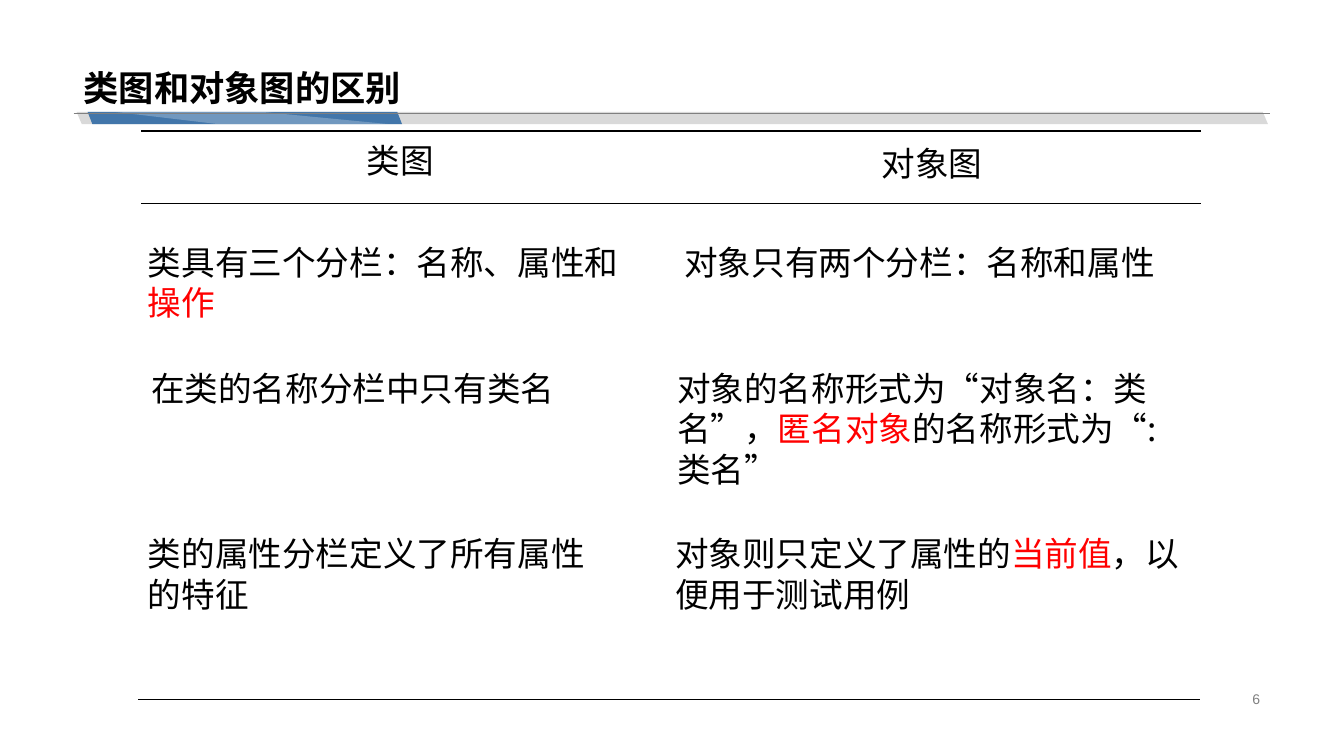
from dataclasses import dataclass

from lxml.etree import SubElement
from pptx import Presentation
from pptx.dml.color import RGBColor
from pptx.enum.lang import MSO_LANGUAGE_ID as Language
from pptx.enum.shapes import MSO_CONNECTOR as Connector
from pptx.enum.shapes import MSO_SHAPE as Shape
from pptx.enum.text import MSO_ANCHOR as Anchor
from pptx.enum.text import MSO_AUTO_SIZE as AutoSize
from pptx.enum.text import PP_ALIGN as Align
from pptx.oxml.ns import qn
from pptx.util import Pt

BLACK = RGBColor(0x00, 0x00, 0x00)
WHITE = RGBColor(0xFF, 0xFF, 0xFF)
RED = RGBColor(0xFF, 0x00, 0x00)
BLUE = RGBColor(0x42, 0x76, 0xAA)
LIGHT_GREY = RGBColor(0xD9, 0xD9, 0xD9)
GREY = RGBColor(0x80, 0x80, 0x80)

SANS = "Arial"
CHINESE = "Noto Sans CJK SC"


@dataclass
class Span:
    """A stretch of text in one colour."""
    text: str
    color: RGBColor = BLACK


@dataclass
class Label:
    """A text box: place in points, spans and format."""
    left: float
    top: float
    width: float
    height: float
    spans: list[Span]
    size: float = 24
    font: str = CHINESE
    bold: bool = False
    anchor: Anchor = Anchor.TOP
    align: Align = Align.LEFT
    spacing: float = 1.0
    auto_size: AutoSize = AutoSize.SHAPE_TO_FIT_TEXT


@dataclass
class Rule:
    """A horizontal line in points."""
    left: float
    right: float
    top: float
    weight: float
    color: RGBColor = BLACK


@dataclass
class Band:
    """A slanted bar under the title, in points."""
    left: float
    width: float
    slant: float
    color: RGBColor


BAND_TOP, BAND_HEIGHT = 79.9, 8.7
BANDS = [
    Band(54.7, 851, 0.424, LIGHT_GREY),
    Band(62.6, 224.6, 0.388, BLUE),
]
GLINT = [(277.2, 88.6), (187.2, 79.9), (82.1, 79.9), (155.5, 88.6)]

RULES = [
    Rule(52.6, 907.2, 80.6, 0.25, GREY),
    Rule(100.8, 858.2, 93.6, 1.5),
    Rule(100.8, 858.2, 145.6, 0.75),
    Rule(98.6, 856.8, 499.7, 0.75),
]

ROW_TOPS = NAME_COUNT, NAME_FORM, ATTRIBUTES = 169.2, 259.2, 377.3
ONE_LINE, TWO_LINES, THREE_LINES = 36, 65.5, 94.3

LABELS = [
    Label(678.2, 491, 229, 16.6, [Span("6", GREY)], size=10, font=SANS,
          anchor=Anchor.MIDDLE, align=Align.RIGHT, auto_size=AutoSize.NONE),
    Label(52.6, 36.7, 242.6, 44.6, [Span("类图和对象图的区别")], size=25.2,
          font=SANS, bold=True, anchor=Anchor.BOTTOM, spacing=0.9,
          auto_size=AutoSize.NONE),
    Label(254.9, 96.5, 71.3, ONE_LINE, [Span("类图")]),
    Label(622.8, 98.2, 90.7, ONE_LINE, [Span("对象图")]),
    Label(98.6, NAME_COUNT, 357.1, TWO_LINES,
          [Span("类具有三个分栏：名称、属性和"), Span("操作", RED)]),
    Label(100.8, NAME_FORM, 332.6, ONE_LINE,
          [Span("在类的名称分栏中只有类名")]),
    Label(98.6, ATTRIBUTES, 349.9, TWO_LINES,
          [Span("类的属性分栏定义了所有属性的特征")]),
    Label(481.7, NAME_COUNT, 377.3, ONE_LINE,
          [Span("对象只有两个分栏：名称和属性")]),
    Label(476.6, NAME_FORM, 377.3, THREE_LINES,
          [Span("对象的名称形式为“对象名：类名”，"), Span("匿名对象", RED),
           Span("的名称形式为“:类名”")]),
    Label(475.2, ATTRIBUTES, 378.7, TWO_LINES,
          [Span("对象则只定义了属性的"), Span("当前值", RED),
           Span("，以便用于测试用例")]),
]


def apply(target: object, values: dict) -> None:
    """Set attributes from a dict of format values."""
    for name, value in values.items():
        setattr(target, name, value)


def paint(shape, color: RGBColor) -> None:
    """Fill a shape plainly, without line or shadow."""
    shape.shadow.inherit = False
    shape.fill.solid()
    shape.fill.fore_color.rgb = color
    shape.line.fill.background()


def draw_band(page, band: Band) -> None:
    """Draw a mirrored parallelogram."""
    shape = page.shapes.add_shape(Shape.PARALLELOGRAM, Pt(band.left), Pt(BAND_TOP),
                                  Pt(band.width), Pt(BAND_HEIGHT))
    shape.adjustments[0] = band.slant
    shape._element.spPr.find(qn("a:xfrm")).set("flipH", "1")
    paint(shape, band.color)


def draw_glint(page, points: list[tuple[float, float]]) -> None:
    """Draw the translucent highlight on the blue band."""
    start, *rest = [(Pt(x), Pt(y)) for x, y in points]
    builder = page.shapes.build_freeform(*start)
    builder.add_line_segments(rest, close=True)
    shape = builder.convert_to_shape()
    paint(shape, WHITE)
    color = shape._element.spPr.find(qn("a:solidFill"))[0]
    SubElement(color, qn("a:alpha")).set("val", "25000")


def draw_rule(page, rule: Rule) -> None:
    """Draw a horizontal line without shadow."""
    line = page.shapes.add_connector(Connector.STRAIGHT, Pt(rule.left), Pt(rule.top),
                                     Pt(rule.right), Pt(rule.top))
    line.line.color.rgb = rule.color
    line.line.width = Pt(rule.weight)
    SubElement(line._element.spPr, qn("a:effectLst"))


def draw_label(page, label: Label) -> None:
    """Draw a text box with its coloured spans."""
    box = page.shapes.add_textbox(Pt(label.left), Pt(label.top),
                                  Pt(label.width), Pt(label.height))
    frame = box.text_frame
    apply(frame, {"word_wrap": True, "auto_size": label.auto_size,
                  "vertical_anchor": label.anchor})
    para = frame.paragraphs[0]
    apply(para, {"alignment": label.align, "line_spacing": label.spacing})
    for span in label.spans:
        run = para.add_run()
        run.text = span.text
        apply(run.font, {"name": label.font, "size": Pt(label.size),
                         "bold": label.bold,
                         "language_id": Language.SIMPLIFIED_CHINESE})
        run.font.color.rgb = span.color
        east_asian = SubElement(run.font._element, qn("a:ea"))
        east_asian.set("typeface", CHINESE)


def main() -> None:
    """Build the slide and save it."""
    deck = Presentation()
    apply(deck, {"slide_width": Pt(960), "slide_height": Pt(540)})
    page = deck.slides.add_slide(deck.slide_layouts[6])
    for band in BANDS:
        draw_band(page, band)
    draw_glint(page, GLINT)
    for rule in RULES:
        draw_rule(page, rule)
    for label in LABELS:
        draw_label(page, label)
    deck.save("out.pptx")


main()
